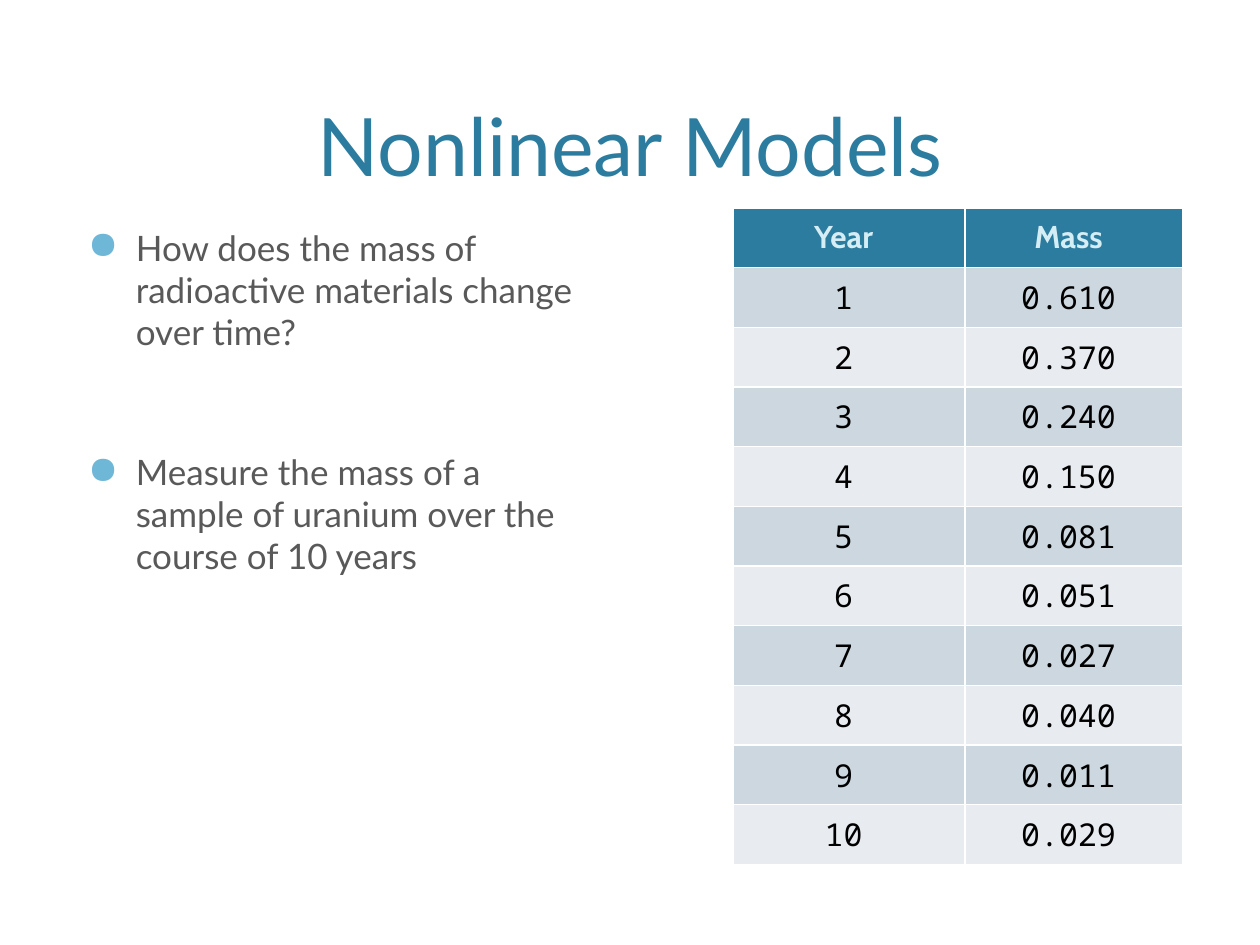
from lxml import etree
from pptx import Presentation
from pptx import util as u
from pptx.dml.color import RGBColor
from pptx.enum import text
from pptx.oxml import ns

TEAL = RGBColor(0x2C, 0x7C, 0x9F)
SKY = RGBColor(0x6F, 0xB7, 0xD7)
GRAY = RGBColor(0x59, 0x59, 0x59)
PALE = RGBColor(0xD5, 0xED, 0xF4)
BLACK = RGBColor(0x00, 0x00, 0x00)
BANDS = (RGBColor(0xE8, 0xEC, 0xF0), RGBColor(0xCD, 0xD7, 0xDF))

QUESTIONS = (
    "How does the mass of radioactive materials change over time?",
    "Measure the mass of a sample of uranium over the course of 10 years",
)
MASSES = ("0.610", "0.370", "0.240", "0.150", "0.081",
          "0.051", "0.027", "0.040", "0.011", "0.029")


def format_runs(paragraph, name, size, color, bold=False):
    """Give every run of a paragraph the same font."""
    for run in paragraph.runs:
        run.font.name = name
        run.font.size = u.Pt(size)
        run.font.bold = bold
        run.font.color.rgb = color


def set_title(slide, title):
    """Place and format the title placeholder."""
    shape = slide.shapes.title
    shape.left, shape.top = u.Inches(0.6), u.Inches(0.12)
    shape.width, shape.height = u.Inches(8.8), u.Inches(1.46)
    frame = shape.text_frame
    frame.text = title
    frame.vertical_anchor = text.MSO_ANCHOR.BOTTOM
    frame.paragraphs[0].alignment = text.PP_ALIGN.CENTER
    format_runs(frame.paragraphs[0], "Lato", 46, TEAL)


def add_bullet(paragraph):
    """Give a paragraph a hanging round bullet."""
    properties = paragraph._p.get_or_add_pPr()
    properties.set("marL", str(u.Inches(0.38)))
    properties.set("indent", str(-u.Inches(0.38)))
    color = etree.SubElement(properties, ns.qn("a:buClr"))
    etree.SubElement(color, ns.qn("a:srgbClr"), val=str(SKY))
    etree.SubElement(properties, ns.qn("a:buSzPct"), val="110000")
    etree.SubElement(properties, ns.qn("a:buChar"), char="●")


def add_questions(slide, questions):
    """Add the bulleted text on the left."""
    shape = slide.shapes.add_textbox(
        u.Inches(0.6), u.Inches(1.75), u.Inches(4.2), u.Inches(4.75))
    frame = shape.text_frame
    frame.word_wrap = True
    frame.text = "\n".join(questions)
    for index, paragraph in enumerate(frame.paragraphs):
        paragraph.space_before = u.Pt(56 if index else 16)
        add_bullet(paragraph)
        format_runs(paragraph, "Lato", 20, GRAY)


def format_cell(cell, value, fill, name, color, bold):
    """Fill one table cell with centred text."""
    cell.fill.solid()
    cell.fill.fore_color.rgb = fill
    cell.vertical_anchor = text.MSO_ANCHOR.MIDDLE
    cell.margin_left, cell.margin_right = u.Inches(0.08), u.Inches(0.17)
    cell.margin_top = cell.margin_bottom = u.Inches(0.04)
    cell.text_frame.text = value
    paragraph = cell.text_frame.paragraphs[0]
    paragraph.alignment = text.PP_ALIGN.CENTER
    format_runs(paragraph, name, 18, color, bold)


def add_mass_table(slide, masses):
    """Add the table of mass by year."""
    rows = [("Year", "Mass")]
    rows += [(str(year), mass) for year, mass in enumerate(masses, 1)]
    table = slide.shapes.add_table(
        len(rows), 2, u.Inches(5.82), u.Inches(1.65),
        u.Inches(3.57), u.Inches(5.21)).table
    table.columns[0].width = u.Inches(1.84)
    table.columns[1].width = u.Inches(1.73)
    for index, row in enumerate(rows):
        if index:
            style = (BANDS[index % 2], "Noto Sans Mono", BLACK, False)
        else:
            style = (TEAL, "Cabin", PALE, True)
        for column, value in enumerate(row):
            format_cell(table.cell(index, column), value, *style)


def main():
    """Build and save the slide."""
    presentation = Presentation()
    presentation.slide_width = u.Inches(10)
    presentation.slide_height = u.Inches(7.5)
    slide = presentation.slides.add_slide(presentation.slide_layouts[5])
    set_title(slide, "Nonlinear Models")
    add_questions(slide, QUESTIONS)
    add_mass_table(slide, MASSES)
    presentation.save("out.pptx")


if __name__ == "__main__":
    main()
